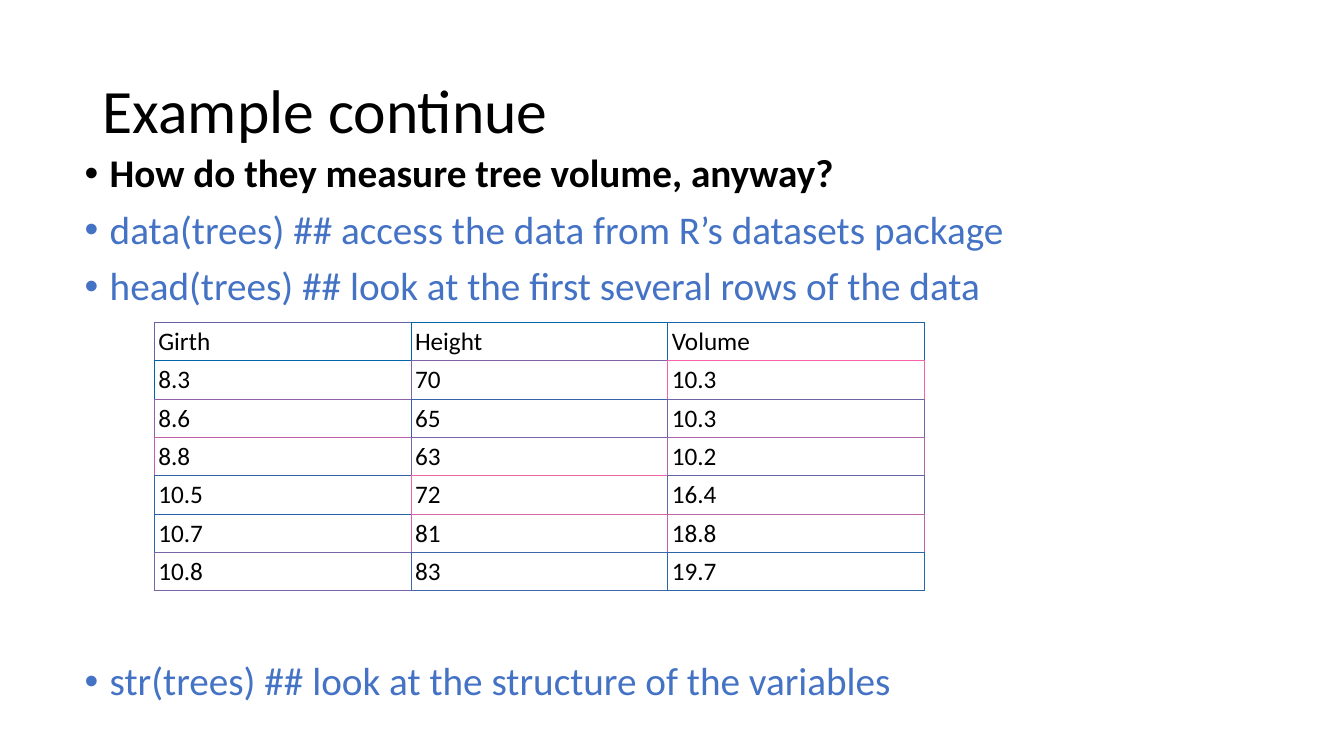
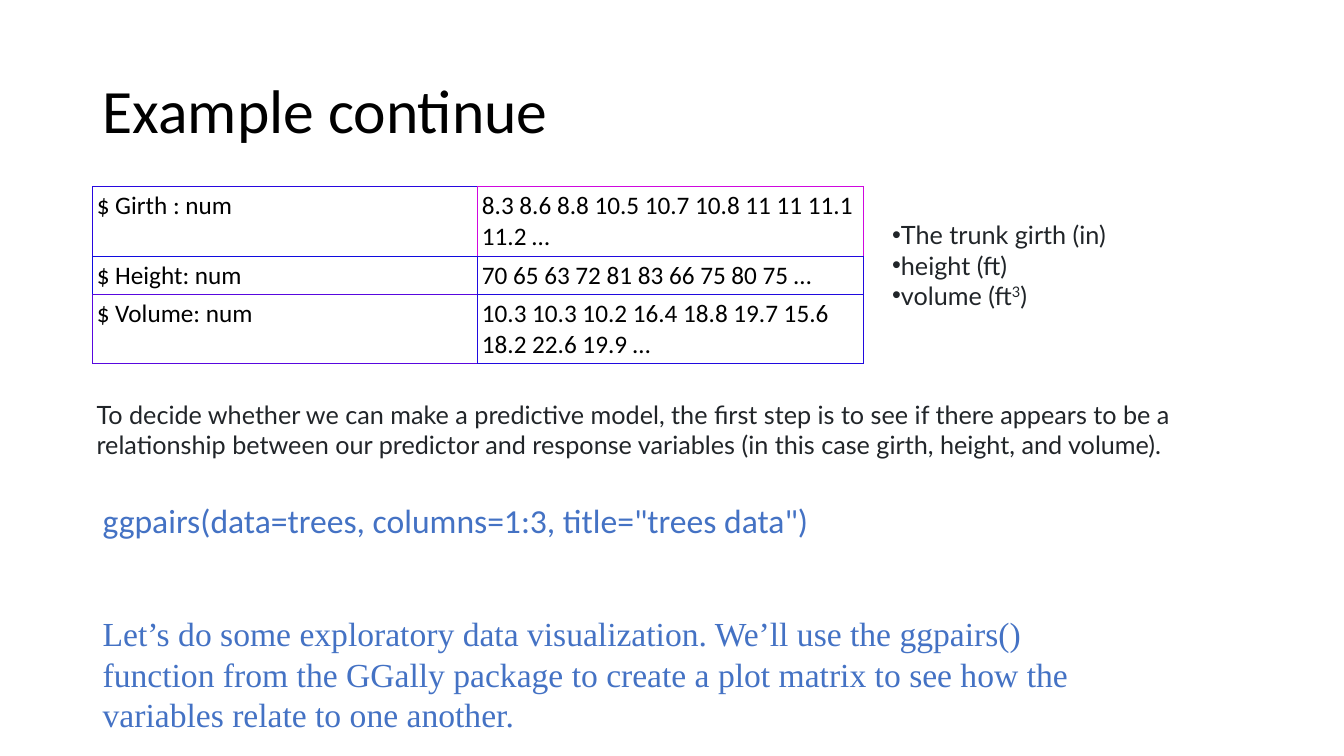
from dataclasses import dataclass

from lxml.etree import SubElement
from pptx import Presentation
from pptx.dml.color import RGBColor as RGB
from pptx.enum.text import MSO_ANCHOR as Anchor
from pptx.oxml.ns import qn
from pptx.util import Inches, Pt


@dataclass(frozen=True)
class Theme:
    black: str = "000000"
    blue: str = "4472C4"
    ink: str = "212529"
    main: str = "Calibri"
    note: str = "Lato"
    serif: str = "Times New Roman"
    title: int = 44
    body: int = 28
    code: int = 24
    small: int = 18
    border: float = 0.75
    cell_inset: float = 0.04


T = Theme()

TREES = [
    ["Girth", "Height", "Volume"],
    ["8.3", "70", "10.3"],
    ["8.6", "65", "10.3"],
    ["8.8", "63", "10.2"],
    ["10.5", "72", "16.4"],
    ["10.7", "81", "18.8"],
    ["10.8", "83", "19.7"],
]
TREES_BORDERS = [
    ["6862A8", "0064A8", "1864A8"],
    ["0064A8", "8062A8", "F862A8"],
    ["9061A8", "3862A8", "7063A8"],
    ["C061A8", "7864A8", "B065A8"],
    ["3064A8", "F064A8", "6064A8"],
    ["2863A8", "D864A8", "C064A8"],
    ["7864A8", "4066A8", "2866A8"],
]
STRUCTURE = [
    ["$ Girth : num", "8.3 8.6 8.8 10.5 10.7 10.8 11 11 11.1 11.2 …"],
    ["$ Height: num", "70 65 63 72 81 83 66 75 80 75 …"],
    ["$ Volume: num", "10.3 10.3 10.2 16.4 18.8 19.7 15.6 18.2 22.6 19.9 …"],
]
STRUCTURE_BORDERS = [
    ["2808DF", "D008DF"],
    ["100BDF", "200ADF"],
    ["5808DF", "200ADF"],
]


def add_run(p, text, size=T.small, font=T.main, color=T.black, bold=False, base=0):
    r = p.add_run()
    r.text = text
    r.font.size = Pt(size)
    r.font.name = font
    r.font.bold = bold
    r.font.color.rgb = RGB.from_string(color)
    if base:
        r._r.get_or_add_rPr().set("baseline", str(base * 1000))


def add_bullet(p, hang=0):
    pPr = p._p.get_or_add_pPr()
    pPr.set("marL", str(Inches(hang)))
    pPr.set("indent", str(-Inches(hang)))
    SubElement(pPr, qn("a:buFont")).set("typeface", "Arial")
    SubElement(pPr, qn("a:buChar")).set("char", "•")


def add_box(s, x, y, w, h, anchor=Anchor.TOP, wrap=True):
    tf = s.shapes.add_textbox(*map(Inches, (x, y, w, h))).text_frame
    tf.word_wrap = wrap
    tf.vertical_anchor = anchor
    return tf


def add_paragraph(tf, text, spacing=None, before=0, bullet=None, **fmt):
    p = tf.add_paragraph() if tf.paragraphs[0].runs else tf.paragraphs[0]
    p.line_spacing = spacing
    p.space_before = Pt(before)
    if bullet is not None:
        add_bullet(p, bullet)
    add_run(p, text, **fmt)
    return p


def set_borders(cell, **colors):
    tcPr = cell._tc.get_or_add_tcPr()
    for side, color in colors.items():
        ln = SubElement(tcPr, qn(f"a:ln{side}"), w=str(Pt(T.border)))
        fill = SubElement(ln, qn("a:solidFill"))
        SubElement(fill, qn("a:srgbClr"), val=color)


def add_grid(s, x, y, w, heights, rows, borders):
    last_row, last_col = len(rows) - 1, len(rows[0]) - 1
    table = s.shapes.add_table(
        last_row + 1, last_col + 1, *map(Inches, (x, y, w, sum(heights)))
    ).table
    table.first_row = table.horz_banding = False
    for row, height in zip(table.rows, heights):
        row.height = Inches(height)
    for i, row in enumerate(rows):
        for j, text in enumerate(row):
            cell = table.cell(i, j)
            cell.margin_left = cell.margin_right = Inches(T.cell_inset)
            cell.margin_top = cell.margin_bottom = Inches(T.cell_inset)
            own = borders[i][j]
            set_borders(
                cell,
                L=own,
                R=borders[i][min(j + 1, last_col)],
                T=own,
                B=borders[min(i + 1, last_row)][j],
            )
            cell.fill.background()
            add_run(cell.text_frame.paragraphs[0], text)


def add_slide(prs):
    s = prs.slides.add_slide(prs.slide_layouts[6])
    tf = add_box(s, 0.92, 0.4, 11.5, 1.45, anchor=Anchor.MIDDLE)
    add_paragraph(tf, "Example continue", spacing=0.9, size=T.title)
    return s


def build_data_slide(prs):
    s = add_slide(prs)
    tf = add_box(s, 0.74, 1.48, 11.5, 5.8)
    for text, before, color, bold in [
        ("How do they measure tree volume, anyway?", 10, T.black, True),
        ("data(trees) ## access the data from R’s datasets package", 10, T.blue, False),
        ("head(trees) ## look at the first several rows of the data", 10, T.blue, False),
        ("str(trees) ## look at the structure of the variables", 252, T.blue, False),
    ]:
        add_paragraph(tf, text, spacing=0.9, before=before, bullet=0.25,
                      size=T.body, color=color, bold=bold)
    add_grid(s, 1.53, 3.2, 7.64, [0.38] * len(TREES), TREES, TREES_BORDERS)


def build_structure_slide(prs):
    s = add_slide(prs)
    add_grid(s, 0.92, 1.85, 7.64, [0.69, 0.38, 0.69], STRUCTURE, STRUCTURE_BORDERS)

    note = dict(font=T.note, color=T.ink)
    tf = add_box(s, 8.75, 2.13, 4.11, 1.01)
    for text in ("The trunk girth (in)", "height (ft)", "volume (ft"):
        p = add_paragraph(tf, text, bullet=0, **note)
    add_run(p, "3", base=30, **note)
    add_run(p, ")", **note)

    tf = add_box(s, 0.86, 3.91, 11.76, 0.71)
    add_paragraph(
        tf,
        "To decide whether we can make a predictive model, the first step is to see "
        "if there appears to be a relationship between our predictor and response "
        "variables (in this case girth, height, and volume).",
        **note,
    )

    tf = add_box(s, 0.92, 4.91, 7.27, 0.5, wrap=False)
    add_paragraph(tf, 'ggpairs(data=trees, columns=1:3, title="trees data")',
                  size=T.code, color=T.blue)

    tf = add_box(s, 0.92, 6.03, 10.26, 1.31)
    add_paragraph(
        tf,
        "Let’s do some exploratory data visualization. We’ll use the ggpairs() "
        "function from the GGally package to create a plot matrix to see how the "
        "variables relate to one another.",
        spacing=Pt(29), size=T.code, font=T.serif, color=T.blue,
    )


def main():
    prs = Presentation()
    prs.slide_width, prs.slide_height = Inches(13.33), Inches(7.5)
    build_data_slide(prs)
    build_structure_slide(prs)
    prs.save("out.pptx")


if __name__ == "__main__":
    main()
